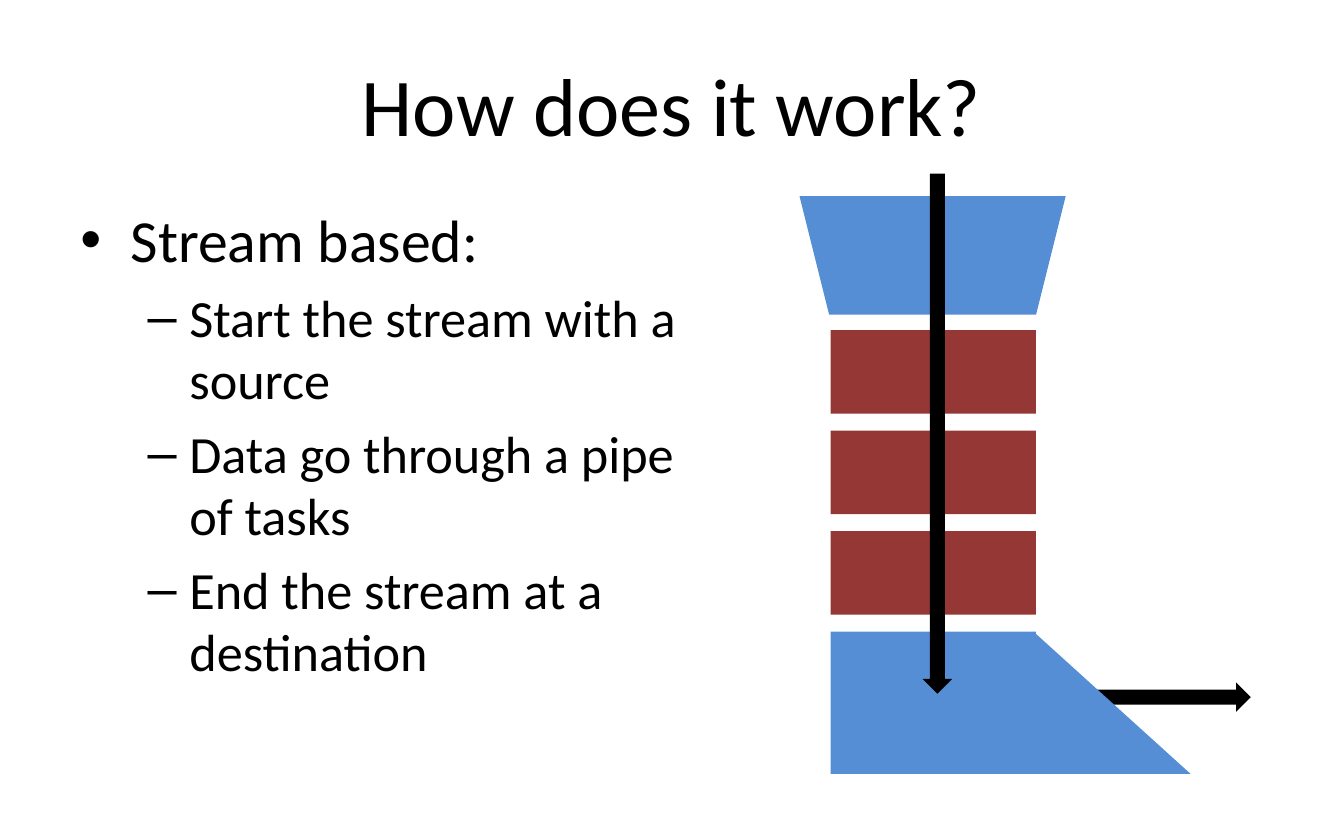
from lxml import etree
from pptx import Presentation
from pptx.dml.color import RGBColor
from pptx.enum.shapes import MSO_SHAPE
from pptx.enum.text import MSO_ANCHOR, PP_ALIGN
from pptx.oxml.ns import qn
from pptx.util import Cm, Pt

RECT, TRAPEZOID = MSO_SHAPE.RECTANGLE, MSO_SHAPE.TRAPEZOID
TRIANGLE, ARROW = MSO_SHAPE.RIGHT_TRIANGLE, MSO_SHAPE.RIGHT_ARROW
MIDDLE, TOP = MSO_ANCHOR.MIDDLE, MSO_ANCHOR.TOP
CENTER, LEFT = PP_ALIGN.CENTER, PP_ALIGN.LEFT

# Content (lengths in cm)
BLACK, BLUE, RED = "000000", "558ED5", "953735"
TITLE = [(0, "How does it work?")]
BODY = [
    (1, "Stream based:"),
    (2, "Start the stream with a source"),
    (2, "Data go through a pipe of tasks"),
    (2, "End the stream at a destination"),
]
# level: size in pt, alignment, bullet, text indent, hanging indent
LEVELS = {
    0: (44, CENTER, None, 0, 0),
    1: (32, LEFT, "•", 0.95, 0.95),
    2: (28, LEFT, "–", 2.06, 0.79),
}
PIPE_LEFT, PIPE_WIDTH = 15.7, 3.88
TASK_TOP, TASK_HEIGHT, TASK_STEP, TASK_COUNT = 6.24, 1.58, 1.9, 3
SINK_TOP, SINK_HEIGHT = 11.94, 2.69

prs = Presentation()
prs.slide_width, prs.slide_height = Cm(25.4), Cm(15.88)
s = prs.slides.add_slide(prs.slide_layouts[6])


def rgb(value):
    return RGBColor.from_string(value)


def add_text(box, anchor, lines):
    tf = s.shapes.add_textbox(*map(Cm, box)).text_frame
    tf.word_wrap, tf.vertical_anchor = True, anchor
    for i, (level, text) in enumerate(lines):
        size, align, bullet, indent, hanging = LEVELS[level]
        p = tf.paragraphs[0] if i == 0 else tf.add_paragraph()
        p.alignment = align
        if bullet:
            p.level = level - 1
            p.space_before = Pt(size * 0.2)
            pPr = p._p.get_or_add_pPr()
            pPr.set("marL", str(Cm(indent)))
            pPr.set("indent", str(-Cm(hanging)))
            etree.SubElement(pPr, qn("a:buFont")).set("typeface", "Arial")
            etree.SubElement(pPr, qn("a:buChar")).set("char", bullet)
        r = p.add_run()
        r.text = text
        for name, value in {"name": "Calibri", "size": Pt(size)}.items():
            setattr(r.font, name, value)
        r.font.color.rgb = rgb(BLACK)


def add_block(kind, box, color, rotation=0):
    shape = s.shapes.add_shape(kind, *map(Cm, box))
    shape.fill.solid()
    shape.fill.fore_color.rgb = rgb(color)
    shape.line.fill.background()
    shape.shadow.inherit = False
    shape.rotation = rotation


# Title and bullets
add_text((1.27, 0.64, 22.86, 2.64), MIDDLE, TITLE)
add_text((1.27, 3.71, 12.12, 10.46), TOP, BODY)

# Outgoing arrow, behind the destination
add_block(ARROW, (20.24, 12.9, 3.4, 0.56), BLACK)

# Source funnel, tasks, destination
add_block(TRAPEZOID, (15.11, 3.71, 5.03, 2.24), BLUE, 180)
for i in range(TASK_COUNT):
    top = TASK_TOP + i * TASK_STEP
    add_block(RECT, (PIPE_LEFT, top, PIPE_WIDTH, TASK_HEIGHT), RED)
add_block(TRIANGLE, (19.53, SINK_TOP, 2.97, SINK_HEIGHT), BLUE)
add_block(RECT, (PIPE_LEFT, SINK_TOP, PIPE_WIDTH, SINK_HEIGHT), BLUE)

# Data flow through the pipe
add_block(ARROW, (12.8, 7.92, 9.83, 0.56), BLACK, 90)

prs.save("out.pptx")
